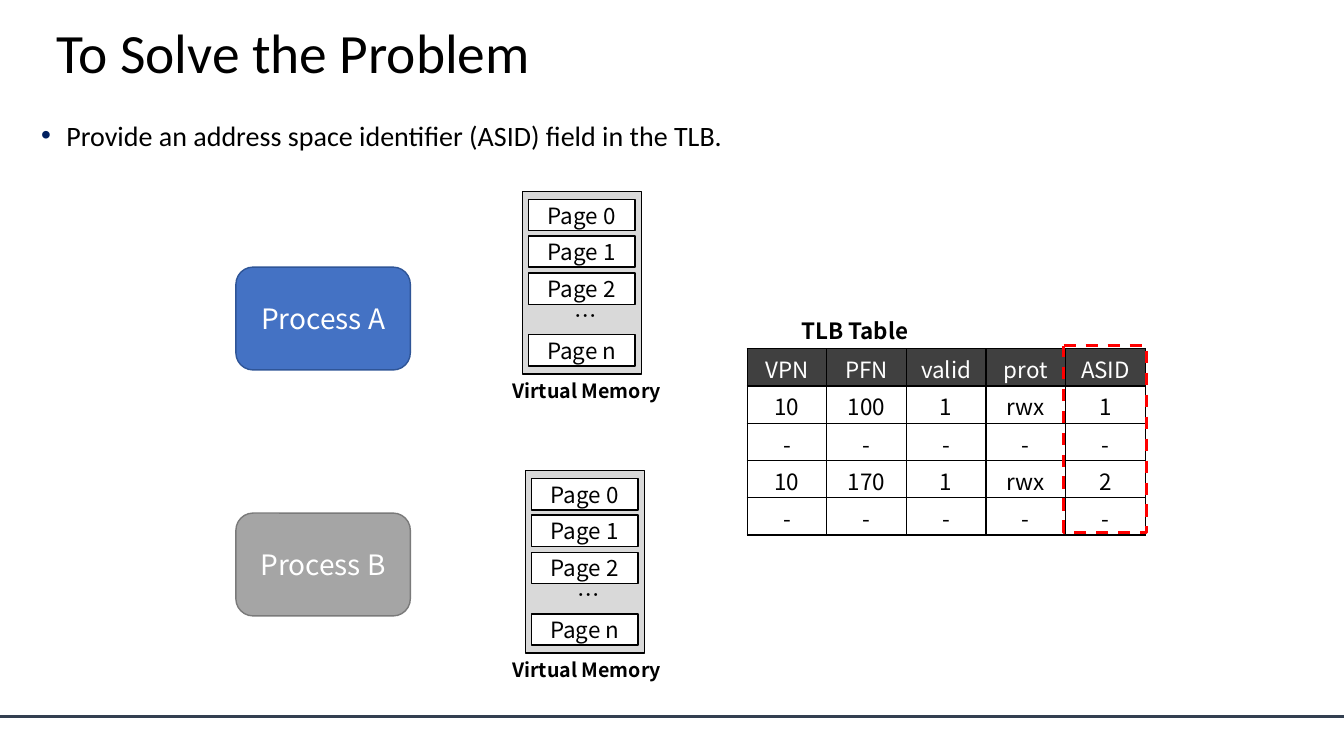
from dataclasses import dataclass

from lxml.etree import SubElement
from pptx import Presentation
from pptx.dml.color import RGBColor
from pptx.enum.dml import MSO_LINE
from pptx.enum.shapes import MSO_CONNECTOR, MSO_SHAPE
from pptx.enum.text import MSO_ANCHOR, PP_ALIGN
from pptx.oxml.ns import qn
from pptx.shapes.autoshape import Shape
from pptx.slide import Slide
from pptx.table import _Cell
from pptx.text.text import TextFrame
from pptx.util import Emu, Pt

EMU_PER_PX = 9144
COLORS = {
    "black": "000000",
    "white": "FFFFFF",
    "rule": "333F50",
    "bullet": "002060",
    "blue": "4472C4",
    "blue_edge": "2F5597",
    "gray": "A5A5A5",
    "gray_edge": "7A7A7A",
    "memory": "D9D9D9",
    "header": "404040",
    "highlight": "FF0000",
}
HEADING_FONT = "Calibri"
DIAGRAM_FONT = "Noto Sans CJK KR"


@dataclass(frozen=True)
class Box:
    left: int
    top: int
    width: int
    height: int


@dataclass(frozen=True)
class Process:
    label: str
    top: int
    fill: str
    edge: str


@dataclass(frozen=True)
class Memory:
    left: int
    top: int


@dataclass(frozen=True)
class Page:
    label: str
    offset: int


PROCESSES = [
    Process("Process A", 265, "blue", "blue_edge"),
    Process("Process B", 509, "gray", "gray_edge"),
]
MEMORIES = [Memory(518, 190), Memory(521, 467)]
PAGES = [Page("Page 0", 8), Page("Page 1", 44), Page("Page 2", 81), Page("Page n", 142)]
TLB_ROWS = [
    ["VPN", "PFN", "valid", "prot", "ASID"],
    ["10", "100", "1", "rwx", "1"],
    ["-"] * 5,
    ["10", "170", "1", "rwx", "2"],
    ["-"] * 5,
]


def px(value: int) -> Emu:
    return Emu(value * EMU_PER_PX)


def rgb(name: str) -> RGBColor:
    return RGBColor.from_string(COLORS[name])


def place(box: Box) -> tuple[Emu, Emu, Emu, Emu]:
    return px(box.left), px(box.top), px(box.width), px(box.height)


def write(frame: TextFrame, text: str, *, size: float = 16, font: str = DIAGRAM_FONT,
          color: str = "black", bold: bool = False, align: PP_ALIGN = PP_ALIGN.CENTER,
          anchor: MSO_ANCHOR = MSO_ANCHOR.TOP, spacing: float = 1.0,
          side_margin: int = 10, bullet: bool = False) -> None:
    frame.word_wrap = True
    frame.vertical_anchor = anchor
    frame.margin_left = frame.margin_right = px(side_margin)
    paragraph = frame.paragraphs[0]
    paragraph.alignment = align
    paragraph.line_spacing = spacing
    if bullet:
        properties = paragraph._p.get_or_add_pPr()
        properties.set("marL", str(px(25)))
        properties.set("indent", str(px(-25)))
        bullet_color = SubElement(properties, qn("a:buClr"))
        SubElement(bullet_color, qn("a:srgbClr"), val=COLORS["bullet"])
        SubElement(properties, qn("a:buFont"), typeface="Arial")
        SubElement(properties, qn("a:buChar"), char="•")
    run = paragraph.add_run()
    run.text = text
    run.font.size = Pt(size)
    run.font.name = font
    run.font.bold = bold
    run.font.color.rgb = rgb(color)
    SubElement(run._r.get_or_add_rPr(), qn("a:ea"), typeface=font)


def add_text(slide: Slide, box: Box, text: str, **text_format) -> None:
    write(slide.shapes.add_textbox(*place(box)).text_frame, text, **text_format)


def add_box(slide: Slide, box: Box, *, kind: MSO_SHAPE = MSO_SHAPE.RECTANGLE,
            fill: str | None = None, edge: str = "black", weight: float = 1) -> Shape:
    shape = slide.shapes.add_shape(kind, *place(box))
    shape.shadow.inherit = False
    if fill:
        shape.fill.solid()
        shape.fill.fore_color.rgb = rgb(fill)
    else:
        shape.fill.background()
    shape.line.color.rgb = rgb(edge)
    shape.line.width = Pt(weight)
    return shape


def add_process(slide: Slide, process: Process) -> None:
    shape = add_box(slide, Box(234, process.top, 173, 102), fill=process.fill,
                    kind=MSO_SHAPE.ROUNDED_RECTANGLE, edge=process.edge)
    write(shape.text_frame, process.label, size=20, color="white", anchor=MSO_ANCHOR.MIDDLE)


def add_memory(slide: Slide, memory: Memory) -> None:
    add_box(slide, Box(memory.left, memory.top, 118, 181), fill="memory")
    for page in PAGES:
        box = Box(memory.left + 6, memory.top + page.offset, 106, 31)
        shape = add_box(slide, box, fill="white")
        write(shape.text_frame, page.label, anchor=MSO_ANCHOR.MIDDLE, side_margin=0)
    add_text(slide, Box(memory.left + 42, memory.top + 105, 116, 37), "…", align=PP_ALIGN.LEFT)
    add_text(slide, Box(486, memory.top + 181, 192, 34), "Virtual Memory", size=14, bold=True)


def format_cell(cell: _Cell, text: str, is_header: bool) -> None:
    cell.margin_top, cell.margin_bottom = px(4), px(0)
    properties = cell._tc.get_or_add_tcPr()
    for side in ("lnL", "lnR", "lnT", "lnB"):
        border = SubElement(properties, qn(f"a:{side}"), w=str(Pt(1)))
        border_fill = SubElement(border, qn("a:solidFill"))
        SubElement(border_fill, qn("a:srgbClr"), val=COLORS["black"])
    if is_header:
        cell.fill.solid()
        cell.fill.fore_color.rgb = rgb("header")
    else:
        cell.fill.background()
    write(cell.text_frame, text, color="white" if is_header else "black")


def add_tlb_table(slide: Slide, box: Box) -> None:
    frame = slide.shapes.add_table(len(TLB_ROWS), len(TLB_ROWS[0]), *place(box))
    table = frame.table
    table.first_row = table.horz_banding = False
    for row_index, values in enumerate(TLB_ROWS):
        for column_index, value in enumerate(values):
            format_cell(table.cell(row_index, column_index), value, row_index == 0)


def add_rule(slide: Slide) -> None:
    rule = slide.shapes.add_connector(MSO_CONNECTOR.STRAIGHT, px(0), px(711), px(1333), px(711))
    rule.line.color.rgb = rgb("rule")
    rule.line.width = Pt(2)
    SubElement(rule._element.spPr, qn("a:effectLst"))


def main() -> None:
    presentation = Presentation()
    presentation.slide_width, presentation.slide_height = px(1333), px(750)
    slide = presentation.slides.add_slide(presentation.slide_layouts[6])
    add_rule(slide)
    add_text(slide, Box(46, 23, 961, 64), "To Solve the Problem", size=39.6, font=HEADING_FONT,
             align=PP_ALIGN.LEFT, anchor=MSO_ANCHOR.MIDDLE, spacing=0.9)
    add_text(slide, Box(31, 96, 1281, 602),
             "Provide an address space identifier (ASID) field in the TLB.",
             size=20, font=HEADING_FONT, align=PP_ALIGN.LEFT, spacing=1.5, bullet=True)
    for process in PROCESSES:
        add_process(slide, process)
    add_text(slide, Box(785, 310, 154, 37), "TLB Table", bold=True, align=PP_ALIGN.LEFT)
    for memory in MEMORIES:
        add_memory(slide, memory)
    add_tlb_table(slide, Box(741, 346, 395, 185))
    highlight = add_box(slide, Box(1055, 343, 82, 185), kind=MSO_SHAPE.ROUNDED_RECTANGLE,
                        edge="highlight", weight=2.25)
    highlight.adjustments[0] = 0
    highlight.line.dash_style = MSO_LINE.DASH
    presentation.save("out.pptx")


if __name__ == "__main__":
    main()
